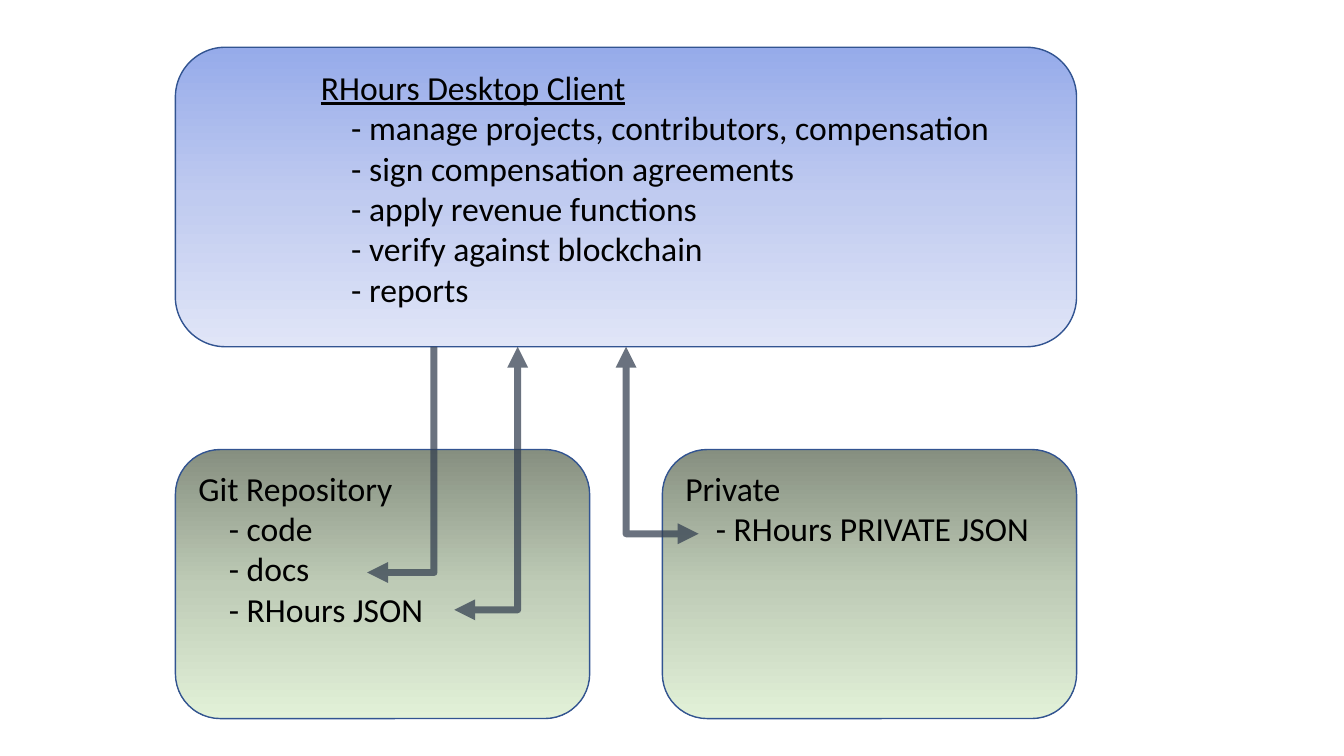
from copy import deepcopy
from dataclasses import dataclass

from lxml import etree
from pptx import Presentation
from pptx.dml.color import RGBColor
from pptx.enum.shapes import MSO_CONNECTOR, MSO_SHAPE
from pptx.enum.text import MSO_ANCHOR, PP_ALIGN
from pptx.oxml.ns import qn
from pptx.util import Pt

ROUNDED = MSO_SHAPE.ROUNDED_RECTANGLE
ELBOW = MSO_CONNECTOR.ELBOW
TOP = MSO_ANCHOR.TOP
LEFT = PP_ALIGN.LEFT

BLACK = RGBColor(0x00, 0x00, 0x00)
OUTLINE = RGBColor(0x32, 0x54, 0x91)
ARROW = RGBColor(0x33, 0x3F, 0x50)
BLUES = (RGBColor(0x96, 0xAB, 0xEA), RGBColor(0xC0, 0xCB, 0xF0), RGBColor(0xE0, 0xE5, 0xF7))
GREENS = (RGBColor(0x86, 0x8F, 0x80), RGBColor(0xBE, 0xCB, 0xB6), RGBColor(0xE2, 0xF1, 0xD8))

ITEM_INDENT = 21.7
CLIENT_BOTTOM = 247.7
STORE_TOP, STORE_WIDTH, STORE_HEIGHT = 321.1, 295.9, 192.2


@dataclass(frozen=True)
class Panel:
    left: float
    top: float
    width: float
    height: float
    colors: tuple[RGBColor, ...]
    title: str
    items: tuple[str, ...]
    indent: float = 0
    underlined: bool = False


@dataclass(frozen=True)
class Flow:
    """An elbow from an item in a store up to the client."""
    item_x: float
    item_y: float
    client_x: float
    both_ways: bool = True


PANELS = (
    Panel(125.3, 33.8, 643.7, 213.9, BLUES, "RHours Desktop Client",
          ("manage projects, contributors, compensation",
           "sign compensation agreements",
           "apply revenue functions",
           "verify against blockchain",
           "reports"), indent=86.4, underlined=True),
    Panel(125.3, STORE_TOP, STORE_WIDTH, STORE_HEIGHT, GREENS, "Git Repository",
          ("code", "docs", "RHours JSON")),
    Panel(473.1, STORE_TOP, STORE_WIDTH, STORE_HEIGHT, GREENS, "Private",
          ("RHours PRIVATE JSON",)),
)

FLOWS = (
    Flow(324.5, 435.6, 369.8),
    Flow(262.3, 409, 310, both_ways=False),
    Flow(499, 381.3, 447.2),
)


def add_panel(slide, panel: Panel) -> None:
    shape = slide.shapes.add_shape(ROUNDED, Pt(panel.left), Pt(panel.top),
                                   Pt(panel.width), Pt(panel.height))
    shape.shadow.inherit = False
    shape.line.color.rgb = OUTLINE
    shape.line.width = Pt(1)

    # Three evenly spaced gradient stops, top to bottom
    shape.fill.gradient()
    shape.fill.gradient_angle = 270
    stop_list = next(shape._element.spPr.iter(qn("a:gsLst")))
    stop_list.insert(1, deepcopy(stop_list[0]))
    for index, (stop, color) in enumerate(zip(shape.fill.gradient_stops, panel.colors)):
        stop.position = index / 2
        stop.color.rgb = color

    # Title and dashed items
    frame = shape.text_frame
    frame.word_wrap = True
    frame.vertical_anchor = TOP
    lines = [panel.title] + [f"- {item}" for item in panel.items]
    for index, text in enumerate(lines):
        paragraph = frame.add_paragraph() if index else frame.paragraphs[0]
        paragraph.text = text
        paragraph.alignment = LEFT
        margin = panel.indent + (ITEM_INDENT if index else 0)
        paragraph._p.get_or_add_pPr().set("marL", str(Pt(margin)))
        paragraph.font.name = "Calibri"
        paragraph.font.size = Pt(24)
        paragraph.font.color.rgb = BLACK
        paragraph.font.underline = panel.underlined and index == 0


def add_flow(slide, flow: Flow) -> None:
    connector = slide.shapes.add_connector(ELBOW, Pt(flow.item_x), Pt(flow.item_y),
                                           Pt(flow.client_x), Pt(CLIENT_BOTTOM))
    connector.line.color.rgb = ARROW
    connector.line.width = Pt(5)
    properties = connector._element.spPr

    # Single bend, translucent stroke, arrowheads, no shadow
    properties.find(qn("a:prstGeom")).set("prst", "bentConnector2")
    color = next(properties.iter(qn("a:srgbClr")))
    etree.SubElement(color, qn("a:alpha"), val="73000")
    line = properties.find(qn("a:ln"))
    etree.SubElement(line, qn("a:headEnd"), type="triangle")
    if flow.both_ways:
        etree.SubElement(line, qn("a:tailEnd"), type="triangle")
    etree.SubElement(properties, qn("a:effectLst"))


def main() -> None:
    presentation = Presentation()
    presentation.slide_width = Pt(960)
    presentation.slide_height = Pt(540)
    slide = presentation.slides.add_slide(presentation.slide_layouts[6])
    for panel in PANELS:
        add_panel(slide, panel)
    for flow in FLOWS:
        add_flow(slide, flow)
    presentation.save("out.pptx")


if __name__ == "__main__":
    main()
